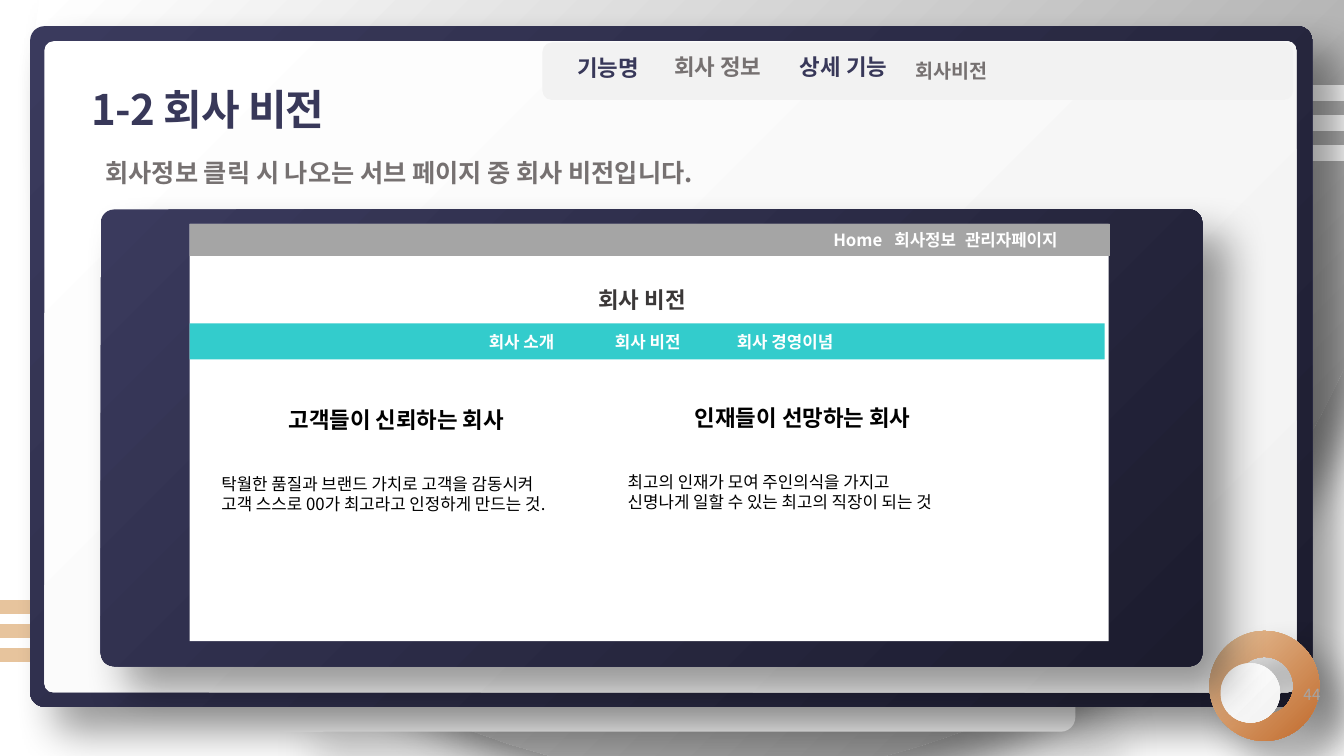
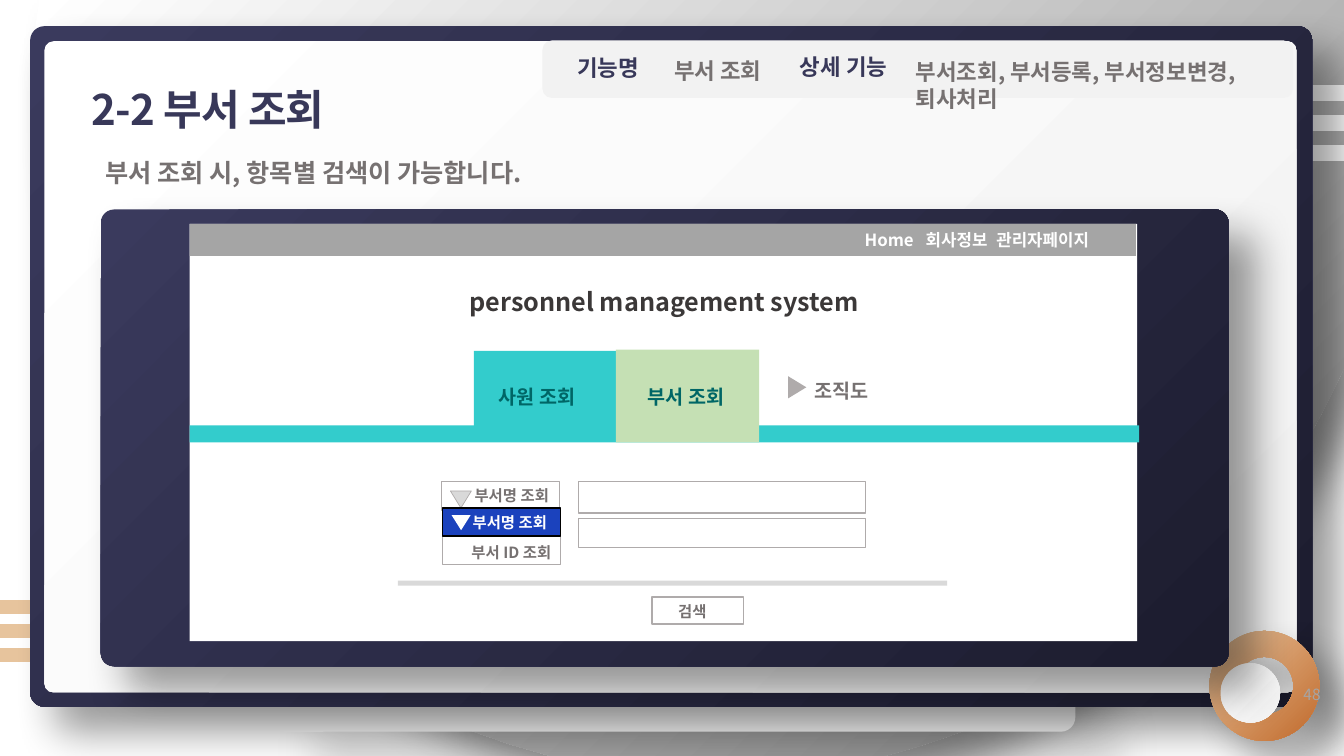
from lxml.etree import SubElement
from pptx import Presentation
from pptx.dml.color import RGBColor
from pptx.enum.shapes import MSO_CONNECTOR, MSO_SHAPE
from pptx.enum.text import MSO_ANCHOR, PP_ALIGN
from pptx.oxml.ns import qn
from pptx.util import Cm, Pt

FONT = "Noto Sans CJK KR"
COLORS = {
    "navy": "383859", "navy_light": "3A3A5D", "navy_dark": "1C1C2E",
    "gold": "E7C49D", "copper": "C16A2C", "white": "FFFFFF", "black": "000000",
    "mist": "F2F2F2", "shade": "8C8C8C", "bar": "A5A5A5", "outline": "AFABAB",
    "rule": "D9D9D9", "label": "767171", "ink": "3B3838", "teal": "33CCCC",
    "teal_dark": "006666", "green": "C5E0B4", "blue": "1B42BD",
}
NAVY = ("navy_light", "navy_dark")
PAPER = ("white", "mist")
SOFT = dict(alpha=40, blur=30, dist=26)
FAINT = dict(alpha=12, blur=30, dist=46)


def rgb(name):
    return RGBColor.from_string(COLORS[name])


def bezier(p0, p1, p2, p3, steps=24):
    """Points along a cubic curve, without its start."""
    points = []
    for i in range(1, steps + 1):
        t = i / steps
        weights = ((1 - t) ** 3, 3 * t * (1 - t) ** 2, 3 * t * t * (1 - t), t ** 3)
        points.append(tuple(sum(w * p[axis] for w, p in zip(weights, (p0, p1, p2, p3)))
                            for axis in (0, 1)))
    return points


class Deck:
    """The style of the deck and the slide being built."""

    def __init__(self):
        self.prs = Presentation()
        self.prs.slide_width, self.prs.slide_height = Cm(33.87), Cm(19.05)
        self.s = None

    def paint(self, sp, fill=None, line=None, weight=1, shadow=None):
        """Set fill (a name, or a pair for a gradient), outline and shadow."""
        if fill is None:
            sp.fill.background()
        elif isinstance(fill, tuple):
            sp.fill.gradient()
            sp.fill.gradient_angle = 315
            for stop, name in zip(sp.fill.gradient_stops, fill):
                stop.color.rgb = rgb(name)
        else:
            sp.fill.solid()
            sp.fill.fore_color.rgb = rgb(fill)
        if line:
            sp.line.color.rgb = rgb(line)
            sp.line.width = Pt(weight)
        else:
            sp.line.fill.background()
        sp.shadow.inherit = False
        if shadow:
            effects = sp.element.spPr.find(qn("a:effectLst"))
            outer = SubElement(effects, qn("a:outerShdw"), dir="2700000", algn="tl",
                               rotWithShape="0", blurRad=str(Pt(shadow["blur"])),
                               dist=str(Pt(shadow["dist"])))
            color = SubElement(outer, qn("a:srgbClr"), val=COLORS["black"])
            SubElement(color, qn("a:alpha"), val=str(shadow["alpha"] * 1000))

    def shape(self, x, y, w, h, fill=None, kind=MSO_SHAPE.RECTANGLE, adj=None,
              rotation=0, **look):
        sp = self.s.shapes.add_shape(kind, Cm(x), Cm(y), Cm(w), Cm(h))
        if adj is not None:
            sp.adjustments[0] = adj
        sp.rotation = rotation
        self.paint(sp, fill, **look)

    def rounded(self, x, y, w, h, fill, **look):
        self.shape(x, y, w, h, fill, kind=MSO_SHAPE.ROUNDED_RECTANGLE, **look)

    def triangle(self, x, y, w, h, fill, rotation=180, **look):
        self.shape(x, y, w, h, fill, kind=MSO_SHAPE.ISOSCELES_TRIANGLE,
                   rotation=rotation, **look)

    def outline(self, points, fill, **look):
        start, *rest = [(Cm(x), Cm(y)) for x, y in points]
        builder = self.s.shapes.build_freeform(*start)
        builder.add_line_segments(rest, close=True)
        self.paint(builder.convert_to_shape(), fill, **look)

    def stripes(self, x1, x2, y, step, color, weight):
        """Three level lines, evenly spaced."""
        for i in range(3):
            top = Cm(y + i * step)
            c = self.s.shapes.add_connector(MSO_CONNECTOR.STRAIGHT, Cm(x1), top, Cm(x2), top)
            c.line.color.rgb = rgb(color)
            c.line.width = Pt(weight)
            SubElement(c.element.spPr, qn("a:effectLst"))

    def text(self, text, x, y, w, h=0.94, size=16, color="label", bold=True,
             align=PP_ALIGN.LEFT, anchor=MSO_ANCHOR.TOP, inset=True,
             line_spacing=None, tracking=None, tabs=()):
        """Add a text box; a newline is a line break, tracking is in points."""
        box = self.s.shapes.add_textbox(Cm(x), Cm(y), Cm(w), Cm(h))
        tf = box.text_frame
        tf.word_wrap = True
        tf.vertical_anchor = anchor
        if not inset:
            tf.margin_left = tf.margin_right = tf.margin_top = tf.margin_bottom = 0
        p = tf.paragraphs[0]
        p.alignment = align
        if line_spacing:
            p.line_spacing = line_spacing
        if tabs:
            tab_list = SubElement(box.element.find(".//" + qn("a:pPr")), qn("a:tabLst"))
            for stop in tabs:
                SubElement(tab_list, qn("a:tab"), pos=str(Cm(stop)), algn="l")
        for i, row in enumerate(text.split("\n")):
            if i:
                p.add_line_break()
            r = p.add_run()
            r.text = row
            r.font.name, r.font.size, r.font.bold = FONT, Pt(size), bold
            r.font.color.rgb = rgb(color)
        for props in box.element.iter(qn("a:rPr")):
            if props.find(qn("a:latin")) is not None:
                SubElement(props, qn("a:ea"), typeface=FONT)
            if tracking:
                props.set("spc", str(round(tracking * 100)))

    def backdrop(self):
        self.stripes(0, 4.75, 15.3, 0.6, "gold", 10.25)
        sweep = [(0.99, 0), (33.87, 0), (33.87, 9.27), (33.63, 9.78)]
        sweep += bezier(sweep[-1], (31.45, 14.33), (27.36, 17.73), (22.4, 19.02))
        sweep += [(22.25, 19.05), (13.92, 19.05), (13.77, 19.02)]
        sweep += bezier(sweep[-1], (6.32, 17.09), (0.84, 10.34), (0.84, 2.31))
        sweep += bezier(sweep[-1], (0.84, 1.73), (0.86, 1.12), (0.91, 0.56))
        self.outline(sweep, ("white", "shade"), shadow=SOFT)
        self.stripes(29.06, 33.87, 2.34, 0.76, "white", 11.75)
        self.rounded(6.78, 16.94, 20.32, 1.5, "white", adj=0.245, shadow=FAINT)
        self.rounded(0.76, 0.66, 32.31, 17.15, NAVY, adj=0.021, shadow=SOFT)
        self.rounded(1.12, 1.04, 31.55, 16.41, PAPER, adj=0.014)
        self.shape(30.48, 15.9, 2.77, 2.77, ("gold", "copper"), kind=MSO_SHAPE.DONUT,
                   adj=0.236, shadow=SOFT)
        self.shape(30.76, 16.71, 1.5, 1.5, PAPER, kind=MSO_SHAPE.OVAL)

    def new_slide(self, number, title, subtitle, feature, detail, detail_size,
                  feature_y, tag_y, panel_w, screen_w, bar_w, nav_x):
        """Start a slide with its header, its panel and an empty mock-up screen."""
        self.s = self.prs.slides.add_slide(self.prs.slide_layouts[6])
        self.backdrop()
        self.text(number, 31.5, 17.15, 2.03, 0.76, size=11, color="bar", bold=False,
                  align=PP_ALIGN.RIGHT)
        self.rounded(13.67, tag_y, 18.92, 1.45, "mist")
        self.rounded(2.54, 5.28, panel_w, 11.51, NAVY, adj=0.029, shadow=SOFT)
        self.text(title, 2.31, 1.8, 10.82, 1.63, size=30, color="navy", inset=False,
                  anchor=MSO_ANCHOR.MIDDLE, line_spacing=1.2, tracking=-0.6)
        self.text(subtitle, 2.41, 3.84, 28.42, 1.02, size=18)
        self.text("기능명", 14.3, 1.24, 2.74, color="navy")
        self.text(feature, 16.74, feature_y, 3.94)
        self.text("상세 기능", 19.91, 1.22, 3.28, color="navy")
        self.text(detail, 22.83, 1.35, 9.37, size=detail_size)
        self.shape(4.78, 5.64, screen_w, 10.52, "white")
        self.shape(4.78, 5.64, bar_w, 0.81, "bar")
        self.text("Home\t회사정보\t관리자페이지", nav_x, 5.66, 6.83, 0.76, size=12,
                  color="white", tabs=(1.54, 3.32))


def vision_slide(deck):
    deck.new_slide("44", "1-2 회사 비전", "회사정보 클릭 시 나오는 서브 페이지 중 회사 비전입니다.",
                   "회사 정보", "회사비전", detail_size=14, feature_y=1.22, tag_y=1.07,
                   panel_w=27.76, screen_w=23.16, bar_w=23.19, nav_x=20.75)
    deck.text("회사 비전", 14.83, 7.09, 3.35, color="ink")
    deck.shape(4.78, 8.15, 23.06, 0.91, "teal")
    for item, x in (("회사 소개", 11.47), ("회사 비전", 14.65), ("회사 경영이념", 18.11)):
        deck.text(item, x, 8.23, 3.35, 0.76, size=12, color="white", align=PP_ALIGN.CENTER)
    columns = (
        (5.33, 10.11, "고객들이 신뢰하는 회사",
         "탁월한 품질과 브랜드 가치로 고객을 감동시켜\n고객 스스로 00가 최고라고 인정하게 만드는 것."),
        (15.57, 10.06, "인재들이 선망하는 회사",
         "최고의 인재가 모여 주인의식을 가지고\n신명나게 일할 수 있는 최고의 직장이 되는 것"),
    )
    for x, y, heading, body in columns:
        deck.text(heading, x + 1.22, y, 6.88, color="black", align=PP_ALIGN.CENTER)
        deck.text(body, x, y + 1.7, 10.54, 1.27, size=12, color="black", bold=False)


def department_slide(deck):
    deck.new_slide("48", "2-2 부서 조회", "부서 조회 시, 항목별 검색이 가능합니다.",
                   "부서 조회", "부서조회, 부서등록, 부서정보변경, 퇴사처리", detail_size=16,
                   feature_y=1.32, tag_y=1.02, panel_w=28.42, screen_w=23.88,
                   bar_w=23.85, nav_x=21.54)
    deck.text("personnel management system", 11.58, 7.09, 10.9, 1.02, size=18, color="ink")

    deck.shape(4.78, 10.72, 23.93, 0.43, "teal")
    deck.shape(11.94, 8.84, 3.61, 2.21, "teal")
    deck.shape(15.52, 8.81, 3.61, 2.34, "green")
    for tab, x in (("사원 조회", 12.32), ("부서 조회", 16.08)):
        deck.text(tab, x, 9.58, 3.05, 0.86, size=14, color="teal_dark")
    deck.triangle(19.81, 9.53, 0.56, 0.46, "outline", rotation=90)
    deck.text("조직도", 20.27, 9.42, 2.18, 0.86, size=14)

    for y, h in ((12.14, 0.79), (13.06, 0.74)):
        deck.shape(14.58, y, 7.24, h, line="outline")
    options = (
        ("부서명 조회", 11.13, 12.14, 11.71, 12.12, None, "outline", "label"),
        ("부서 ID 조회", 11.15, 13.51, 11.63, 13.56, "white", "outline", "label"),
        ("부서명 조회", 11.15, 12.8, 11.66, 12.8, "blue", "black", "white"),
    )
    for option, x, y, text_x, text_y, fill, line, color in options:
        deck.shape(x, y, 2.97, 0.71, fill, line=line)
        deck.text(option, text_x, text_y, 3.1, 0.74, size=11, color=color)
        if y == 12.14:
            deck.triangle(11.35, 12.37, 0.53, 0.43, "rule", line="outline", weight=0.5)
    deck.triangle(11.38, 12.98, 0.48, 0.38, "white")

    deck.shape(10.03, 14.63, 13.84, 0.13, "rule")
    deck.shape(16.43, 15.04, 2.31, 0.69, line="outline")
    deck.text("검색", 16.84, 15.04, 1.8, 0.74, size=11)


def main():
    deck = Deck()
    vision_slide(deck)
    department_slide(deck)
    deck.prs.save("out.pptx")


if __name__ == "__main__":
    main()
